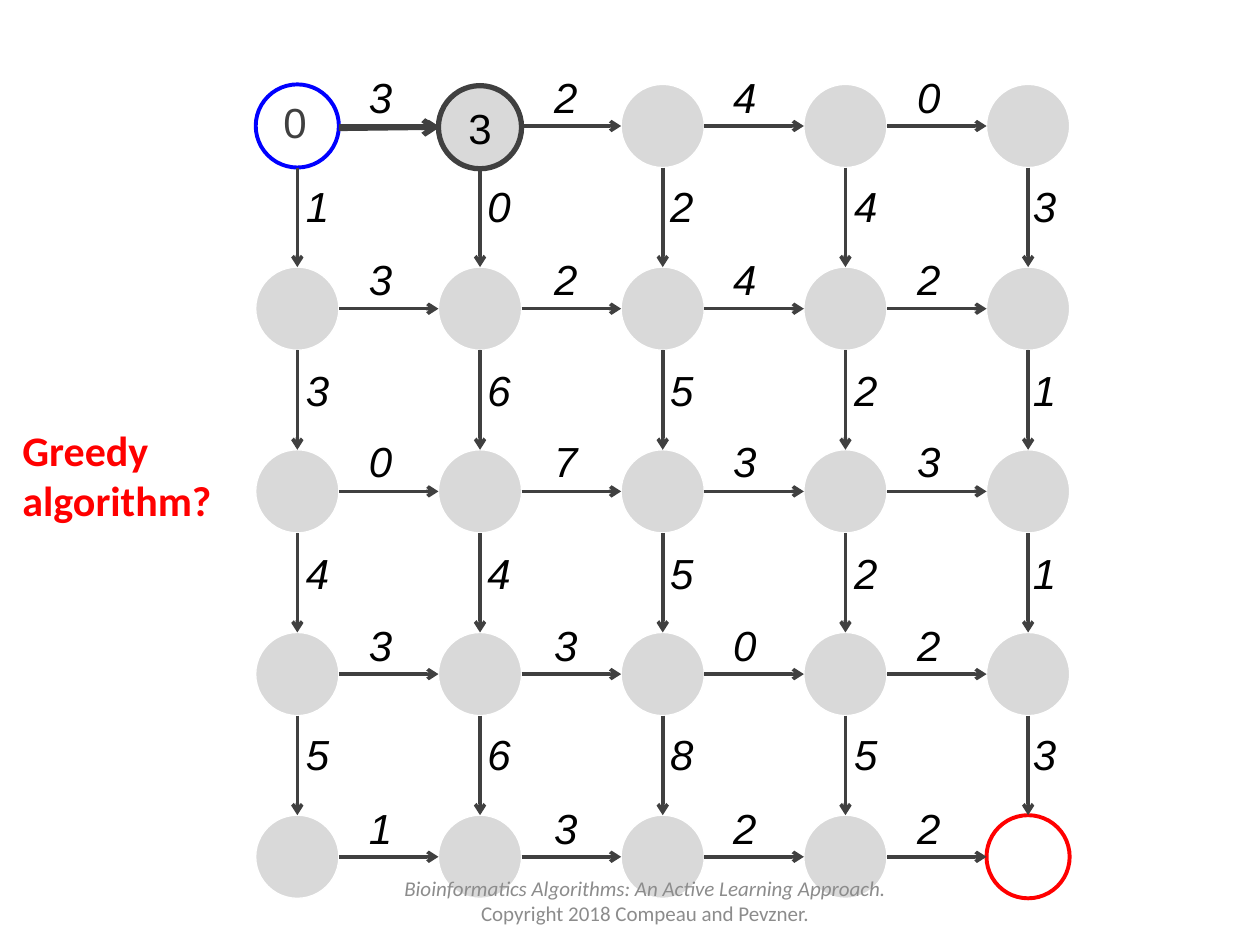
from dataclasses import dataclass

from lxml.etree import SubElement
from pptx import Presentation
from pptx.dml.color import RGBColor
from pptx.enum.shapes import MSO_CONNECTOR as CONN, MSO_SHAPE as SHAPE
from pptx.enum.text import MSO_ANCHOR as ANCHOR, PP_ALIGN as ALIGN
from pptx.oxml.ns import qn
from pptx.util import Inches, Pt

WHITE = RGBColor(0xFF, 0xFF, 0xFF)
BLACK = RGBColor(0x00, 0x00, 0x00)
LIGHT = RGBColor(0xD9, 0xD9, 0xD9)
DARK = RGBColor(0x40, 0x40, 0x40)
MUTED = RGBColor(0x8C, 0x8C, 0x8C)
BLUE = RGBColor(0x00, 0x00, 0xFF)
RED = RGBColor(0xFF, 0x00, 0x00)

# Grid geometry in inches
SIZE = 5
LEFT, TOP = 2.03, 0.67
PITCH, DIAMETER = 1.45, 0.66
RADIUS = DIAMETER / 2

# Edge weights, row by row
RIGHT_WEIGHTS = ["3240", "3242", "0733", "3302", "1322"]
DOWN_WEIGHTS = ["10243", "36521", "44521", "56853"]
# Where the weight labels start
RIGHT_X, RIGHT_Y = (2.83, 4.3, 5.72, 7.18), (0.52, 1.96, 3.41, 4.87, 6.32)
DOWN_X, DOWN_Y = (2.33, 3.77, 5.22, 6.68, 8.1), (1.38, 2.84, 4.3, 5.73)


@dataclass(frozen=True)
class Node:
    left: float
    top: float
    fill: RGBColor = LIGHT
    line: RGBColor = WHITE
    width: float = 0.75
    opacity: int = 100


@dataclass(frozen=True)
class Font:
    color: RGBColor = BLACK
    size: int = 24
    name: str = "Arial"
    bold: bool = False
    italic: bool = False


def set_font(p, font: Font) -> None:
    f = p.font
    f.name, f.size = font.name, Pt(font.size)
    f.bold, f.italic = font.bold, font.italic
    f.color.rgb = font.color


def add_node(s, node: Node):
    sp = s.shapes.add_shape(SHAPE.OVAL, Inches(node.left), Inches(node.top),
                            Inches(DIAMETER), Inches(DIAMETER))
    sp.shadow.inherit = False
    sp.fill.solid()
    sp.fill.fore_color.rgb = node.fill
    if node.opacity < 100:
        color = sp._element.spPr.find(qn("a:solidFill")).find(qn("a:srgbClr"))
        SubElement(color, qn("a:alpha"), val=str(node.opacity * 1000))
    sp.line.color.rgb = node.line
    sp.line.width = Pt(node.width)
    return sp


def add_arrow(s, x1: float, y1: float, x2: float, y2: float, width: float = 2) -> None:
    arrow = s.shapes.add_connector(CONN.STRAIGHT, Inches(x1), Inches(y1),
                                   Inches(x2), Inches(y2))
    arrow.line.color.rgb = DARK
    arrow.line.width = Pt(width)
    SubElement(arrow.line._get_or_add_ln(), qn("a:tailEnd"), type="arrow")
    SubElement(arrow._element.spPr, qn("a:effectLst"))


def add_text(s, text: str, left: float, top: float, width: float, height: float,
             font: Font):
    tf = s.shapes.add_textbox(Inches(left), Inches(top), Inches(width),
                              Inches(height)).text_frame
    tf.word_wrap = True
    tf.text = text
    for p in tf.paragraphs:
        set_font(p, font)
    return tf


def add_weights(s, rows: list[str], xs: tuple, ys: tuple) -> None:
    for row, y in zip(rows, ys):
        for weight, x in zip(row, xs):
            add_text(s, weight, x, y, 0.26, 0.5, Font(italic=True))


def main() -> None:
    prs = Presentation()
    prs.slide_width, prs.slide_height = Inches(10), Inches(7.5)
    s = prs.slides.add_slide(prs.slide_layouts[6])

    # Nodes, with the source and the sink outlined
    xs = [LEFT + PITCH * i for i in range(SIZE)]
    ys = [TOP + PITCH * i for i in range(SIZE)]
    outlines = {(0, 0): BLUE, (SIZE - 1, SIZE - 1): RED}
    for row, y in enumerate(ys):
        for col, x in enumerate(xs):
            if (row, col) in outlines:
                add_node(s, Node(x, y, WHITE, outlines[row, col], 2.25, 75))
            else:
                add_node(s, Node(x, y))

    # Edges to the right and downwards
    for y in ys:
        for x, following in zip(xs, xs[1:]):
            add_arrow(s, x + DIAMETER, y + RADIUS, following, y + RADIUS)
    for x in xs:
        for y, following in zip(ys, ys[1:]):
            add_arrow(s, x + RADIUS, y + DIAMETER, x + RADIUS, following)

    # Edge weights
    add_weights(s, DOWN_WEIGHTS, DOWN_X, DOWN_Y)
    add_weights(s, RIGHT_WEIGHTS, RIGHT_X, RIGHT_Y)

    # First greedy step
    add_arrow(s, 2.69, 1.02, 3.49, 1.01, 3)
    reached = add_node(s, Node(3.48, 0.68, line=DARK, width=3))
    tf = reached.text_frame
    tf.vertical_anchor = ANCHOR.MIDDLE
    tf.text = "3"
    tf.paragraphs[0].alignment = ALIGN.CENTER
    set_font(tf.paragraphs[0], Font())
    add_text(s, "0", 2.15, 0.72, 0.29, 0.5, Font(DARK))

    # Question
    add_text(s, "Greedy algorithm?", 0.08, 3.32, 1.77, 0.91,
             Font(RED, name="Calibri", bold=True))

    # Footer
    footer = add_text(s, "Bioinformatics Algorithms: An Active Learning Approach.\n"
                      "Copyright 2018 Compeau and Pevzner.",
                      2.83, 6.95, 4.58, 0.4, Font(MUTED, 12, "Calibri"))
    footer.vertical_anchor = ANCHOR.MIDDLE
    footer.paragraphs[0].font.italic = True
    for p in footer.paragraphs:
        p.alignment = ALIGN.CENTER

    prs.save("out.pptx")


if __name__ == "__main__":
    main()
